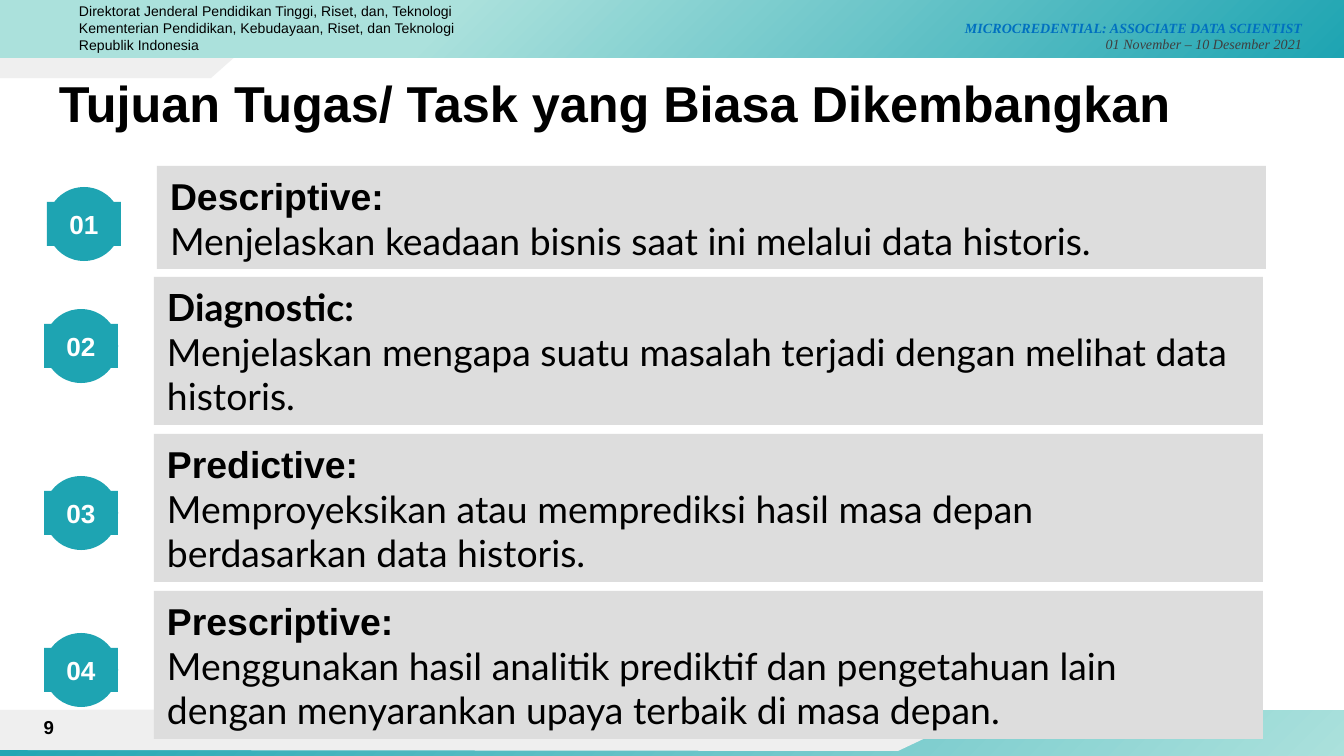
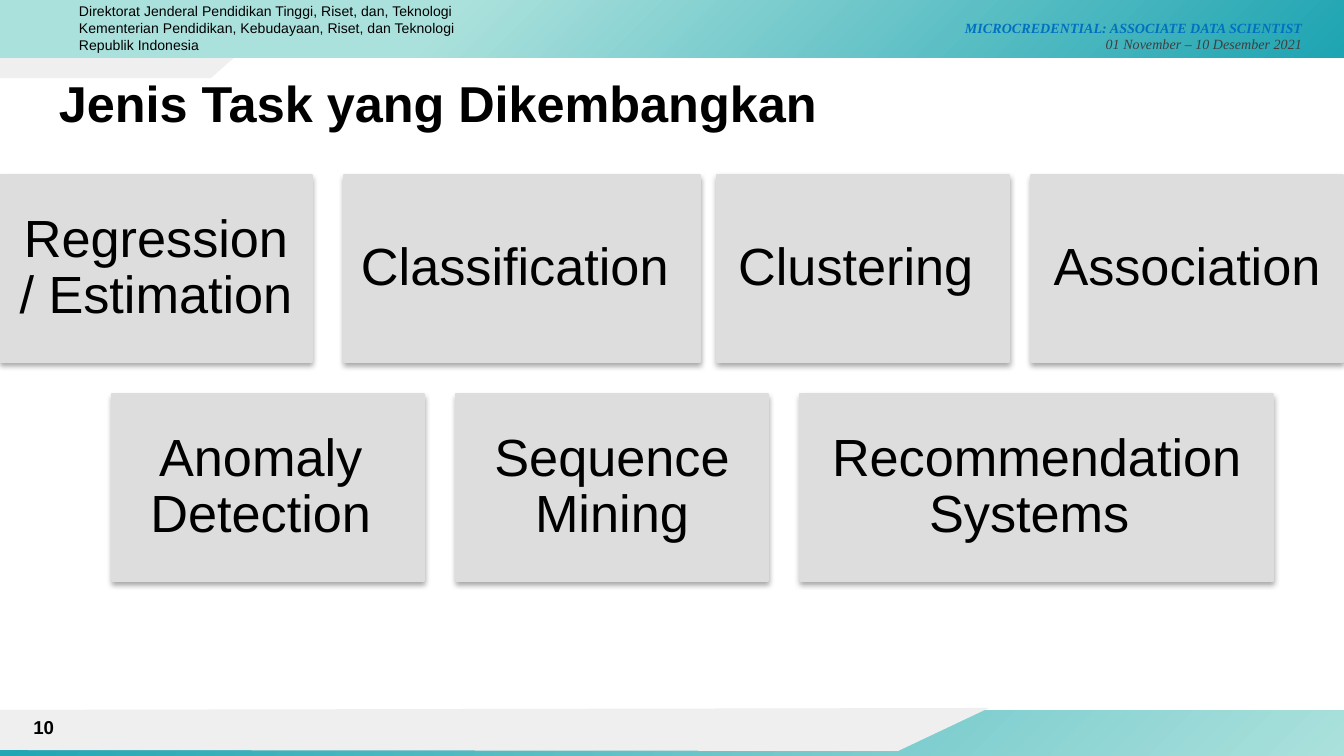
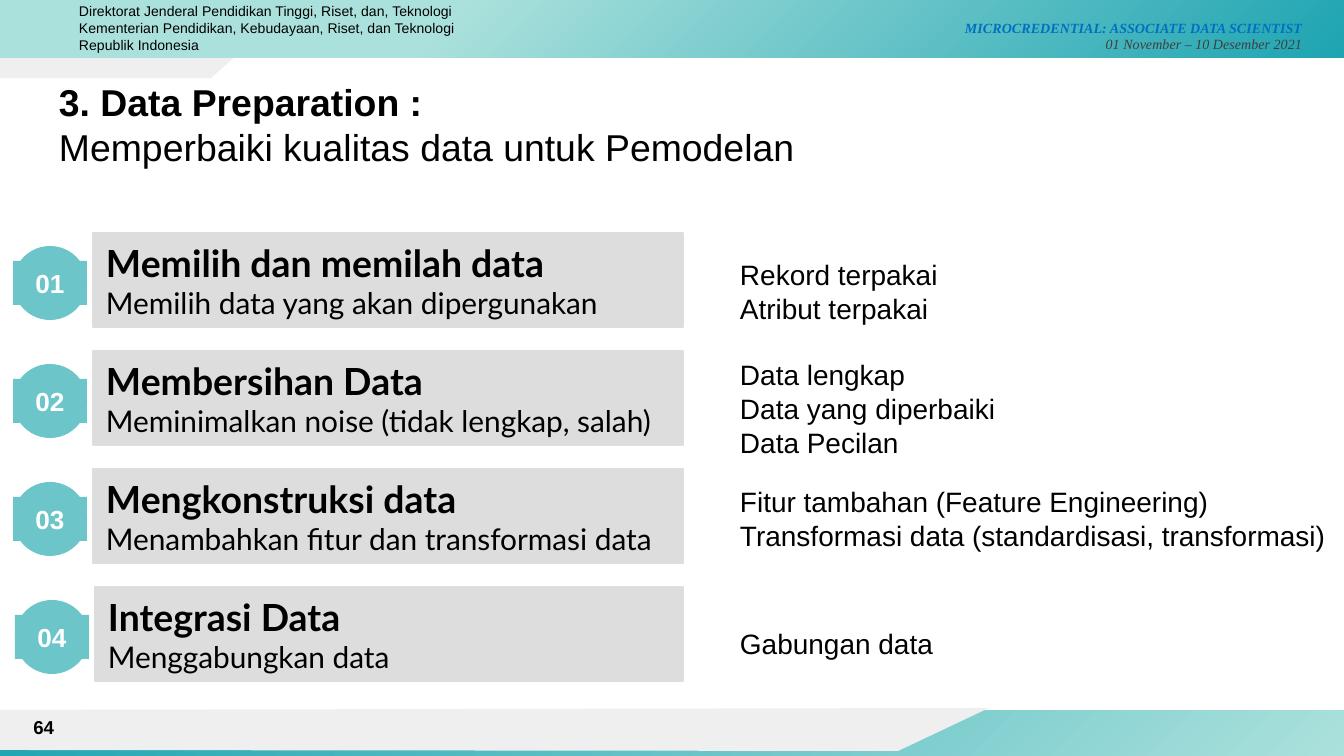
from lxml import etree
from pptx import Presentation
from pptx.dml.color import RGBColor
from pptx.enum import shapes, text
from pptx.oxml import ns
from pptx.util import Pt

PX = 914400 / 134.4
TEAL, AQUA, MINT = "1EA4B2", "6BC5C9", "ABE1DC"
PALE, GRAY, INK, WHITE = "EFEFEF", "DDDDDD", "000000", "FFFFFF"
BLUE, CHARCOAL = "0070C0", "3F3F3F"
RECT, OVAL = shapes.MSO_SHAPE.RECTANGLE, shapes.MSO_SHAPE.OVAL
LEFT, CENTER, RIGHT = (
    text.PP_ALIGN.LEFT, text.PP_ALIGN.CENTER, text.PP_ALIGN.RIGHT)
TOP, MIDDLE = text.MSO_ANCHOR.TOP, text.MSO_ANCHOR.MIDDLE


def px(length):
    """Turn pixels into EMU."""
    return round(length * PX)


def rgb(color):
    """Turn a hex string into a colour."""
    return RGBColor.from_string(color)


def paint(shape, fill, line=None):
    """Give a shape a flat fill, an optional outline and no shadow."""
    shape.shadow.inherit = False
    shape.fill.solid()
    shape.fill.fore_color.rgb = rgb(fill)
    if line:
        shape.line.color.rgb = rgb(line)
        shape.line.width = Pt(0.75)
    else:
        shape.line.fill.background()
    return shape


def block(parent, kind, box, fill, line=None):
    """Add a painted preset shape to a slide or group."""
    return paint(parent.shapes.add_shape(kind, *map(px, box)), fill, line)


def child(parent, tag, **attributes):
    """Append a DrawingML element."""
    return etree.SubElement(
        parent, ns.qn(tag), {key: str(value) for key, value in attributes.items()})


def radiate(shape, stops):
    """Replace a flat fill by a gradient spreading from the lower right."""
    properties = shape.element.spPr
    flat = properties.find(ns.qn("a:solidFill"))
    gradient = etree.Element(ns.qn("a:gradFill"), rotWithShape="1")
    listing = child(gradient, "a:gsLst")
    for position, color in stops:
        child(child(listing, "a:gs", pos=position * 1000), "a:srgbClr", val=color)
    circle = child(gradient, "a:path", path="circle")
    child(circle, "a:fillToRect", l=100000, t=100000)
    properties.replace(flat, gradient)


def drop_shadow(shape):
    """Cast a soft shadow straight down."""
    effects = shape.element.spPr.find(ns.qn("a:effectLst"))
    shadow = child(effects, "a:outerShdw", blurRad=40000, dist=23000,
                   dir=5400000, rotWithShape=0)
    child(child(shadow, "a:srgbClr", val=INK), "a:alpha", val=35000)


def write(shape, paragraphs, align=LEFT, anchor=TOP, inset=(13, 7, 13, 7),
          spacing=None, **style):
    """Fill a shape with paragraphs of strings or of (words, style) spans."""
    frame = shape.text_frame
    frame.word_wrap = True
    frame.vertical_anchor = anchor
    (frame.margin_left, frame.margin_top,
     frame.margin_right, frame.margin_bottom) = map(px, inset)
    for index, spans in enumerate(paragraphs):
        paragraph = frame.add_paragraph() if index else frame.paragraphs[0]
        paragraph.alignment = align
        paragraph.line_spacing = spacing
        for words, change in [(spans, {})] if isinstance(spans, str) else spans:
            look = {"size": 20, "name": "Arial", "color": INK, "bold": False,
                    "italic": False, **style, **change}
            for number, line in enumerate(words.split("\n")):
                if number:
                    paragraph.add_line_break()
                if line:
                    run = paragraph.add_run()
                    run.text = line
                    run.font.size = Pt(look["size"])
                    run.font.name = look["name"]
                    run.font.bold = look["bold"]
                    run.font.italic = look["italic"]
                    run.font.color.rgb = rgb(look["color"])


def label(slide, box, paragraphs, **style):
    """Add a text box."""
    write(slide.shapes.add_textbox(*map(px, box)), paragraphs, **style)


def wedge(slide, corners):
    """Add a pale slanted band."""
    outline = slide.shapes.build_freeform(*corners[0], scale=PX)
    outline.add_line_segments(corners[1:], close=True)
    paint(outline.convert_to_shape(), PALE)


def frame_slide(deck, number, title, **title_style):
    """Add a slide with its bands, headers, title and page number."""
    slide = deck.slides.add_slide(deck.slide_layouts[6])
    wedge(slide, [(246, 47), (0, 44), (0, 78), (211, 78)])
    radiate(block(slide, RECT, (0, 711, 1344, 48), MINT), [(0, MINT), (100, TEAL)])
    wedge(slide, [(989, 708), (0, 710), (0, 750), (898, 751)])
    radiate(block(slide, RECT, (0, 0, 1344, 58), TEAL),
            [(0, TEAL), (67, MINT), (100, MINT)])
    label(slide, (800, 7, 515, 52), [[
        ("MICROCREDENTIAL: ASSOCIATE DATA SCIENTIST\n", {"color": BLUE, "bold": True}),
        ("01 November – 10 Desember 2021", {"color": CHARCOAL}),
    ]], size=7.5, name="Times New Roman", italic=True, align=RIGHT,
        inset=(13, 12, 13, 7))
    label(slide, (66, -4, 448, 65), [
        "Direktorat Jenderal Pendidikan Tinggi, Riset, dan, Teknologi",
        "Kementerian Pendidikan, Kebudayaan, Riset, dan Teknologi Republik Indonesia",
    ], size=7.5)
    label(slide, (46, 66, 1253, 85), [title], inset=(13, 13, 13, 13), **title_style)
    label(slide, (0, 707, 67, 40), [str(number)], size=10, bold=True,
          align=RIGHT, anchor=MIDDLE)
    return slide


def badge(slide, left, top, number, color):
    """Add a numbered disc crossed by a bar."""
    group = slide.shapes.add_group_shape()
    block(group, OVAL, (left, top, 74, 74), color)
    bar = block(group, RECT, (left, top + 15, 74, 44), color)
    write(bar, [f"{number:02d}"], size=14, bold=True, color=WHITE,
          align=CENTER, anchor=MIDDLE)


def card(slide, box, heading, lines, heading_font="Lato", body_size=20, line=None):
    """Add a gray card with a bold heading over its lines."""
    write(block(slide, RECT, box, GRAY, line), [
        [(heading, {"bold": True, "size": 20, "name": heading_font})], *lines,
    ], name="Lato", size=body_size)


def analytics_goals(deck):
    """Build the slide of four analytic purposes."""
    slide = frame_slide(deck, 9, "Tujuan Tugas/ Task yang Biasa Dikembangkan",
                        size=27, bold=True, spacing=0.9)
    goals = [
        (157, 166, 103, 21, "Descriptive:", "Arial",
         ["Menjelaskan keadaan bisnis saat ini melalui data historis."]),
        (154, 277, 148, 32, "Diagnostic:", "Lato",
         ["Menjelaskan mengapa suatu masalah terjadi dengan melihat data historis."]),
        (154, 434, 148, 42, "Predictive:", "Arial",
         ["Memproyeksikan atau memprediksi hasil masa depan",
          "berdasarkan data historis."]),
        (154, 591, 148, 42, "Prescriptive:", "Arial",
         ["Menggunakan hasil analitik prediktif dan pengetahuan lain",
          "dengan menyarankan upaya terbaik di masa depan."]),
    ]
    for number, (left, top, height, drop, heading, font, lines) in enumerate(goals, 1):
        badge(slide, left - 110, top + drop, number, TEAL)
        card(slide, (left, top, 1109, height), heading, lines, heading_font=font)


def task_tile(slide, box, task):
    """Add a shadowed tile that names a task."""
    tile = block(slide, RECT, box, GRAY, GRAY)
    drop_shadow(tile)
    write(tile, [task], size=28, align=CENTER, anchor=MIDDLE, spacing=0.9,
          inset=(16, 16, 16, 16))


def task_types(deck):
    """Build the slide of seven task types."""
    slide = frame_slide(deck, 10, "Jenis Task yang Dikembangkan",
                        size=27, bold=True, spacing=0.9)
    rows = {
        175: [(0, 312, "Regression / Estimation "), (344, 356, "Classification "),
              (717, 292, "Clustering "), (1031, 312, "Association ")],
        394: [(112, 312, "Anomaly \nDetection "), (456, 312, "Sequence\n Mining "),
              (800, 473, "Recommendation Systems ")],
    }
    for top, tasks in rows.items():
        for left, width, task in tasks:
            task_tile(slide, (left, top, width, 187), task)


def data_preparation(deck):
    """Build the slide of four preparation steps and their results."""
    slide = frame_slide(deck, 64, [
        ("3. Data Preparation : \n", {"bold": True}),
        ("Memperbaiki kualitas data untuk Pemodelan", {}),
    ], size=20)
    steps = [
        (93, "Memilih dan memilah data", "Memilih data yang akan dipergunakan",
         251, ["Rekord terpakai", "Atribut terpakai"]),
        (93, "Membersihan Data", "Meminimalkan noise (tidak lengkap, salah)",
         351, ["Data lengkap", "Data yang diperbaiki", "Data Pecilan"]),
        (93, "Mengkonstruksi data", "Menambahkan fitur dan transformasi data",
         478, ["Fitur tambahan (Feature Engineering)",
               "Transformasi data (standardisasi, transformasi)"]),
        (95, "Integrasi Data", "Menggabungkan data", 620, ["Gabungan data"]),
    ]
    for index, (left, heading, action, result_top, results) in enumerate(steps):
        top = 233 + 118 * index
        badge(slide, left - 80, top + 13, index + 1, AQUA)
        card(slide, (left, top, 683 - left, 94), heading, [action],
             body_size=16, line=GRAY)
        label(slide, (727, result_top, 640, 14 + 33 * len(results)), results, size=15)


def main():
    """Build and save the deck."""
    deck = Presentation()
    deck.slide_width, deck.slide_height = px(1344), px(756)
    analytics_goals(deck)
    task_types(deck)
    data_preparation(deck)
    deck.save("out.pptx")


if __name__ == "__main__":
    main()
